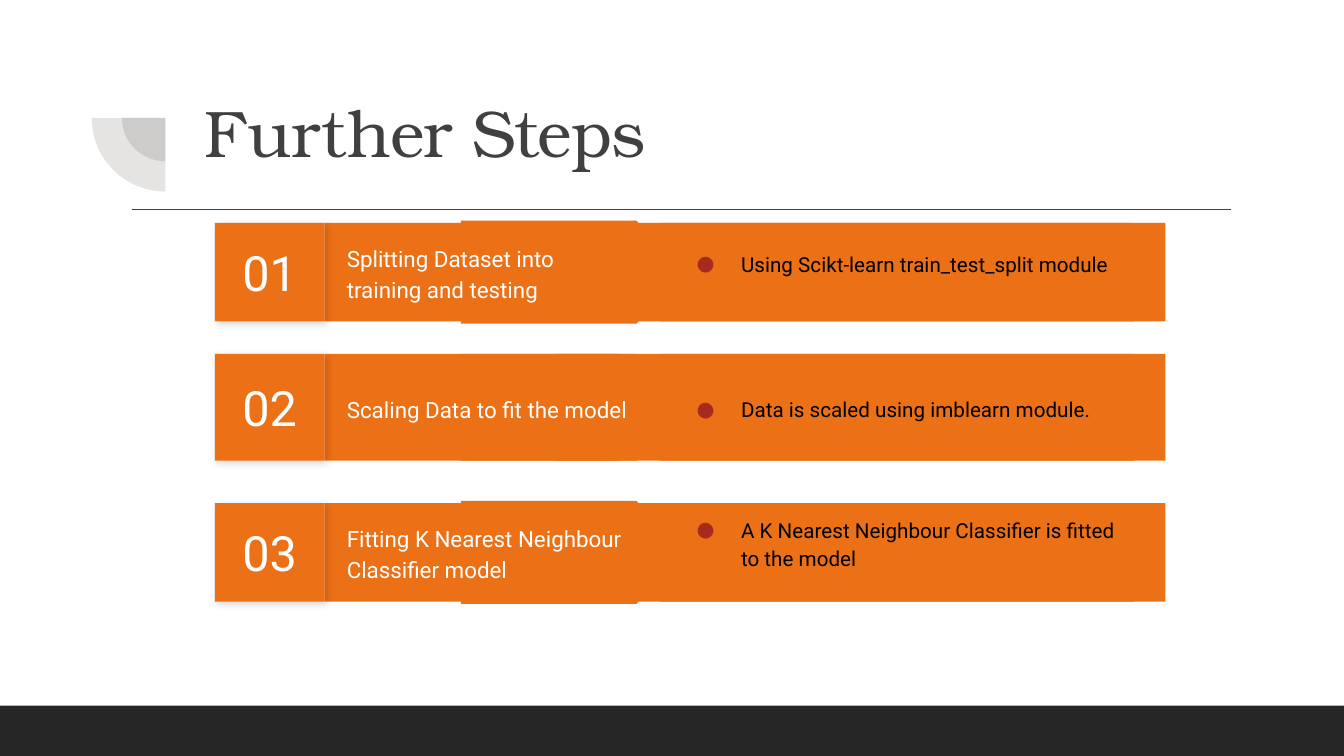
from lxml import etree
from pptx import Presentation
from pptx.dml.color import RGBColor
from pptx.enum.shapes import MSO_CONNECTOR, MSO_SHAPE
from pptx.enum.text import MSO_ANCHOR, PP_ALIGN
from pptx.oxml.ns import qn
from pptx.util import Inches, Pt

RECT, PIE = MSO_SHAPE.RECTANGLE, MSO_SHAPE.PIE
TAB = MSO_SHAPE.FLOWCHART_OFFPAGE_CONNECTOR
LINE = MSO_CONNECTOR.STRAIGHT
TOP, MID = MSO_ANCHOR.TOP, MSO_ANCHOR.MIDDLE
LEFT, MIDDLE = PP_ALIGN.LEFT, PP_ALIGN.CENTER

TITLE = "Further Steps"
STEPS = [
    {"num": "01", "top": 2.21, "high": 0.98, "bleed": 0.02, "lift": 0.2,
     "name": "Splitting Dataset into training and testing",
     "note": "Using Scikt-learn train_test_split module"},
    {"num": "02", "top": 3.51, "high": 1.06, "bleed": 0, "lift": 0,
     "name": "Scaling Data to fit the model",
     "note": "Data is scaled using imblearn module."},
    {"num": "03", "top": 4.99, "high": 0.98, "bleed": 0.02, "lift": 0.2,
     "name": "Fitting K Nearest Neighbour Classifier model",
     "note": "A K Nearest Neighbour Classifier is fitted to the model"},
]
THEME = {
    "bar": "EC7016", "foot": "262626", "rule": "404040", "pie": "39302A",
    "dot": "A72A1E", "shade": "000000",
    "title": {"name": "TeX Gyre Bonum", "size": Pt(47), "color": "404040"},
    "num": {"name": "Roboto", "size": Pt(34.7), "color": "FFFFFF"},
    "label": {"name": "Roboto", "size": Pt(16), "color": "FFFFFF"},
    "note": {"name": "Roboto", "size": Pt(14.7), "color": "000000"},
}
PAD = 0.13
PANELS = [(5.51, 6.05), (3.22, 2.92)]
TAB_X, TAB_W = 4.57, 2.18
HUB = (1.64, 1.17)
RADII = [0.43, 0.73]


def add(node, tag, **vals):
    kid = etree.SubElement(node, qn(tag))
    for key, val in vals.items():
        kid.set(key, str(val))
    return kid


def draw(kind, x, y, w, h, color):
    shape = slide.shapes.add_shape(kind, Inches(x), Inches(y), Inches(w), Inches(h))
    shape.shadow.inherit = False
    shape.fill.solid()
    shape.fill.fore_color.rgb = RGBColor.from_string(color)
    shape.line.fill.background()
    return shape


def write(shape, text, style, anchor=MID, align=LEFT, space=1.0, lift=0):
    frame = shape.text_frame
    para = frame.paragraphs[0]
    run = para.add_run()
    run.text = text
    look = THEME[style]
    sides = {f"margin_{side}": Inches(PAD) for side in ("left", "top", "right")}
    sides.update(margin_bottom=Inches(PAD + lift), word_wrap=True, vertical_anchor=anchor)
    font = {"name": look["name"], "size": look["size"]}
    rows = {"alignment": align, "line_spacing": space}
    for part, vals in ((frame, sides), (para, rows), (run.font, font)):
        for key, val in vals.items():
            setattr(part, key, val)
    run.font.color.rgb = RGBColor.from_string(look["color"])
    return para, run


def fade(node, share):
    add(node, "a:alpha", val=share * 1000)


def shade(shape):
    glow = add(shape.element.spPr.find(qn("a:effectLst")), "a:outerShdw",
               blurRad=Pt(5.6), dist=Pt(2.2), dir=45 * 60000, algn="tl", rotWithShape=0)
    fade(add(glow, "a:srgbClr", val=THEME["shade"]), 17)


def bullet(para):
    props = para._p.get_or_add_pPr()
    props.set("marL", str(Inches(0.67)))
    props.set("indent", str(Inches(-0.44)))
    add(add(props, "a:buClr"), "a:srgbClr", val=THEME["dot"])
    add(props, "a:buFont", typeface="Roboto")
    add(props, "a:buChar", char="●")


def frame_slide():
    draw(RECT, 0, 7, 13.33, 0.5, THEME["foot"])
    rule = slide.shapes.add_connector(LINE, Inches(1.31), Inches(2.08), Inches(12.21), Inches(2.08))
    rule.line.color.rgb = RGBColor.from_string(THEME["rule"])
    rule.line.width = Pt(1)
    add(rule.element.spPr, "a:effectLst")
    for size in RADII:
        pie = draw(PIE, HUB[0] - size, HUB[1] - size, 2 * size, 2 * size, THEME["pie"])
        pie.adjustments[0], pie.adjustments[1] = 54, 108
        fade(pie.element.spPr.find(".//" + qn("a:srgbClr")), 13)
    box = slide.shapes.add_textbox(Inches(1.9), Inches(0.87), Inches(10.25), Inches(1.46))
    para, run = write(box, TITLE, "title", anchor=TOP, space=0.9)
    run._r.get_or_add_rPr().set("spc", "-50")


def add_step(step):
    top, high = step["top"], step["high"]
    for left, wide in PANELS:
        draw(RECT, left, top, wide, high, THEME["bar"])
    tall = high + 2 * step["bleed"]
    tab = draw(TAB, TAB_X + (TAB_W - tall) / 2, top + (high - TAB_W) / 2, tall, TAB_W, THEME["bar"])
    tab.rotation = 270
    label = draw(RECT, 3.31, top + 0.12, 3.07, high - 0.24, THEME["bar"])
    write(label, step["name"], "label", space=1.15)
    badge = draw(RECT, 2.13, top, 1.09, high, THEME["bar"])
    shade(badge)
    write(badge, step["num"], "num", align=MIDDLE)
    note = draw(RECT, 6.55, top, 4.7, high, THEME["bar"])
    para, run = write(note, step["note"], "note", space=1.15, lift=step["lift"])
    bullet(para)


deck = Presentation()
deck.slide_width, deck.slide_height = Inches(13.33), Inches(7.5)
slide = deck.slides.add_slide(deck.slide_layouts[6])
frame_slide()
for step in reversed(STEPS):
    add_step(step)
deck.save("out.pptx")
